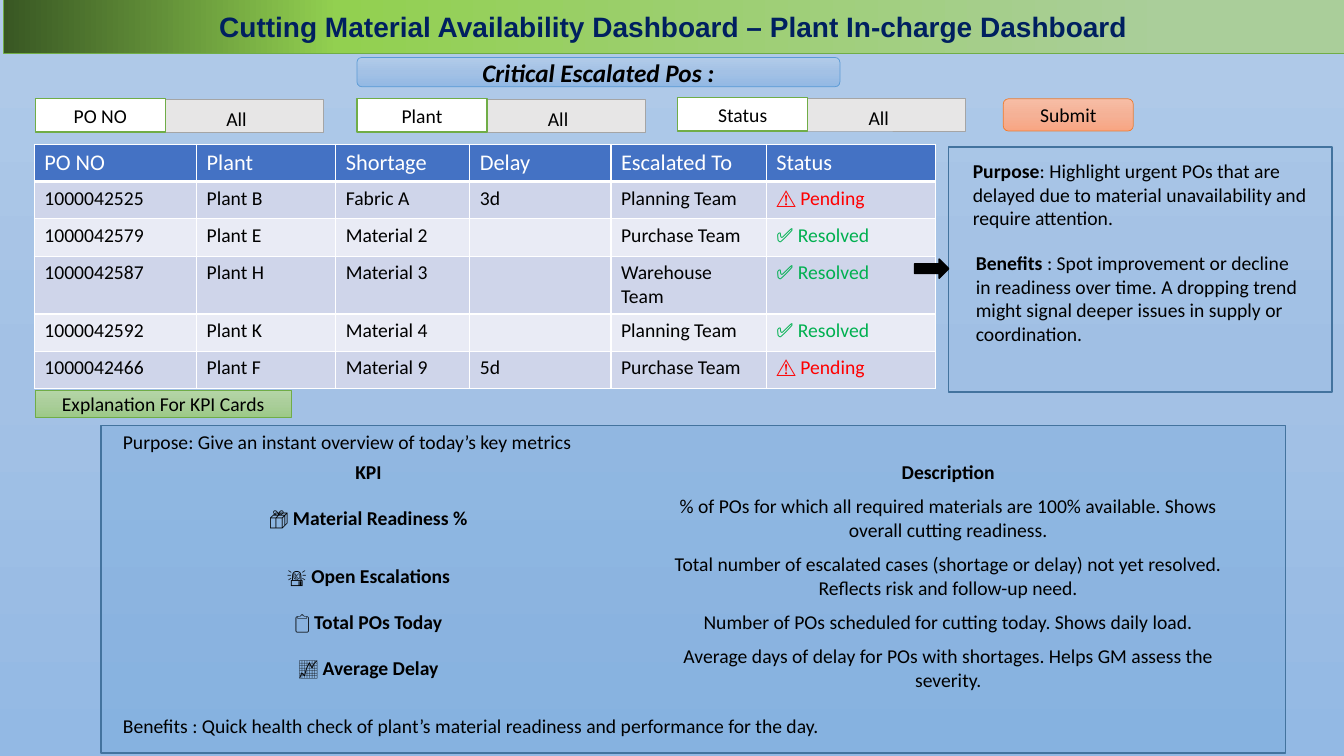
from dataclasses import dataclass
from typing import Any, Optional

from lxml.etree import SubElement
from pptx import Presentation
from pptx.dml.color import RGBColor
from pptx.enum.shapes import MSO_SHAPE
from pptx.enum.text import MSO_ANCHOR, MSO_AUTO_SIZE, PP_ALIGN
from pptx.oxml.ns import qn
from pptx.util import Inches, Pt

Run = tuple[str, bool]
Stops = list[tuple[int, str]]

BLUE_STOPS: Stops = [(0, "B1CBE9"), (50, "A3C1E5"), (100, "93B9E4")]
GREEN_STOPS: Stops = [(0, "B5D5A7"), (50, "AACE9A"), (100, "9CC987")]
ORANGE_STOPS: Stops = [(0, "F7BDA5"), (50, "F5B196"), (100, "F8A582")]
HEADER_STOPS: Stops = [(13, "AACE9A"), (75, "92D050"), (100, "385723")]
DOWN, LEFTWARD = 270, 180
NO_STYLE = "{2D5ABB26-0587-4C30-8999-92F81FD0307C}"


@dataclass
class Box:
    left: float
    top: float
    width: float
    height: float
    fill: str | Stops
    line: str
    line_width: float = 0.5
    text: str = ""
    size: float = 14
    emphasis: bool = False
    shape: MSO_SHAPE = MSO_SHAPE.RECTANGLE
    alpha: Optional[int] = None
    text_left: float = 0.1
    text_top: float = 0.05


@dataclass
class Note:
    left: float
    top: float
    width: float
    height: float
    runs: list[Run]


def rgb(value: str) -> RGBColor:
    return RGBColor.from_string(value)


def set_gradient(fill: Any, element: Any, stops: Stops, angle: int) -> None:
    fill.gradient()
    fill.gradient_angle = angle
    stop_list = next(element.iter(qn("a:gsLst")))
    for stop in list(stop_list):
        stop_list.remove(stop)
    for position, color in stops:
        stop = SubElement(stop_list, qn("a:gs"), pos=str(position * 1000))
        SubElement(stop, qn("a:srgbClr"), val=color)


def write(p: Any, runs: list[Run], size: float = 14, color: str = "000000",
          name: str = "Calibri", italic: bool = False) -> None:
    p.font.size = Pt(size)
    p.font.name = name
    p.font.color.rgb = rgb(color)
    p.font.italic = italic
    if len({bold for _, bold in runs}) == 1:
        p.font.bold = runs[0][1]
    for text, bold in runs:
        r = p.add_run()
        r.text = text
        if len(runs) > 1:
            r.font.bold = bold


def add_box(s: Any, box: Box) -> None:
    sp = s.shapes.add_shape(box.shape, Inches(box.left), Inches(box.top),
                            Inches(box.width), Inches(box.height))
    sp.shadow.inherit = False
    if isinstance(box.fill, str):
        sp.fill.solid()
        sp.fill.fore_color.rgb = rgb(box.fill)
    else:
        set_gradient(sp.fill, sp.element, box.fill, DOWN)
    if box.alpha is not None:
        color = next(sp.element.spPr.iter(qn("a:srgbClr")))
        SubElement(color, qn("a:alpha"), val=str(box.alpha * 1000))
    sp.line.color.rgb = rgb(box.line)
    sp.line.width = Pt(box.line_width)
    if box.text:
        tf = sp.text_frame
        tf.margin_left = Inches(box.text_left)
        tf.margin_top = Inches(box.text_top)
        tf.vertical_anchor = MSO_ANCHOR.MIDDLE
        p = tf.paragraphs[0]
        p.alignment = PP_ALIGN.CENTER
        write(p, [(box.text, box.emphasis)], box.size, italic=box.emphasis)


def add_note(s: Any, note: Note) -> None:
    tf = s.shapes.add_textbox(Inches(note.left), Inches(note.top),
                              Inches(note.width), Inches(note.height)).text_frame
    tf.word_wrap = True
    write(tf.paragraphs[0], note.runs)


def add_grid(s: Any, left: float, top: float, widths: list[float],
             heights: list[float]) -> Any:
    table = s.shapes.add_table(len(heights), len(widths), Inches(left), Inches(top),
                               Inches(sum(widths)), Inches(sum(heights))).table
    for column, width in zip(table.columns, widths):
        column.width = Inches(width)
    for row, height in zip(table.rows, heights):
        row.height = Inches(height)
    return table


def add_borders(cell: Any, bottom_width: float) -> None:
    tc_pr = cell._tc.get_or_add_tcPr()
    for side, width in (("L", 1), ("R", 1), ("T", 1), ("B", bottom_width)):
        ln = SubElement(tc_pr, qn(f"a:ln{side}"), w=str(Pt(width)))
        SubElement(SubElement(ln, qn("a:solidFill")), qn("a:srgbClr"), val="FFFFFF")


def add_orders(s: Any) -> None:
    pending, resolved = "⚠ Pending", "✅ Resolved"
    orders = [
        ["PO NO", "Plant", "Shortage", "Delay", "Escalated To", "Status"],
        ["1000042525", "Plant B", "Fabric A", "3d", "Planning Team", pending],
        ["1000042579", "Plant E", "Material 2", "", "Purchase Team", resolved],
        ["1000042587", "Plant H", "Material 3", "", "Warehouse Team", resolved],
        ["1000042592", "Plant K", "Material 4", "", "Planning Team", resolved],
        ["1000042466", "Plant F", "Material 9", "5d", "Purchase Team", pending],
    ]
    status_colors = {pending: "FF0000", resolved: "00B050"}
    table = add_grid(s, 0.34, 1.43, [1.61, 1.38, 1.33, 1.4, 1.54, 1.68],
                     [0.37, 0.37, 0.37, 0.57, 0.37, 0.37])
    for i, order in enumerate(orders):
        header = i == 0
        fill = "4472C4" if header else ("E9EBF5", "CFD5EA")[i % 2]
        for j, text in enumerate(order):
            cell = table.cell(i, j)
            add_borders(cell, 3 if header else 1)
            cell.fill.solid()
            cell.fill.fore_color.rgb = rgb(fill)
            p = cell.text_frame.paragraphs[0]
            if text:
                color = "FFFFFF" if header else status_colors.get(text, "000000")
                write(p, [(text, False)], 16 if header else 14, color)
            else:
                p._p.get_or_add_endParaRPr().set("sz", "1400")


def add_kpis(s: Any) -> None:
    kpis: list[tuple[list[Run], list[Run]]] = [
        ([("KPI", True)], [("Description", True)])]
    for icon, name, description in (
        ("📦 ", "Material Readiness %", "% of POs for which all required materials "
         "are 100% available. Shows overall cutting readiness."),
        ("🚨 ", "Open Escalations", "Total number of escalated cases (shortage or "
         "delay) not yet resolved. Reflects risk and follow-up need."),
        ("📋 ", "Total POs Today",
         "Number of POs scheduled for cutting today. Shows daily load."),
        ("📈 ", "Average Delay", "Average days of delay for POs with shortages. "
         "Helps GM assess the severity."),
    ):
        kpis.append(([(icon, False), (name, True)], [(description, False)]))
    table = add_grid(s, 0.78, 4.52, [5.75, 5.75], [0.34, 0.57, 0.57, 0.34, 0.57])
    table.first_row = table.horz_banding = False
    table._tbl.tblPr.find(qn("a:tableStyleId")).text = NO_STYLE
    for i, kpi in enumerate(kpis):
        for j, runs in enumerate(kpi):
            cell = table.cell(i, j)
            cell.fill.background()
            cell.vertical_anchor = MSO_ANCHOR.MIDDLE
            p = cell.text_frame.paragraphs[0]
            p.alignment = PP_ALIGN.CENTER
            write(p, runs)


def add_title(s: Any) -> None:
    sp = s.shapes.title
    sp.left, sp.top, sp.width, sp.height = map(Inches, (0.03, -0.01, 13.3, 0.54))
    set_gradient(sp.fill, sp.element, HEADER_STOPS, LEFTWARD)
    sp.line.color.rgb = rgb("70AD47")
    sp.line.width = Pt(0.5)
    tf = sp.text_frame
    tf.auto_size = MSO_AUTO_SIZE.NONE
    tf.vertical_anchor = MSO_ANCHOR.MIDDLE
    p = tf.paragraphs[0]
    p.alignment = PP_ALIGN.CENTER
    write(p, [("Cutting Material Availability Dashboard – Plant In-charge Dashboard",
               True)], 20, "002060", "Arial")


def main() -> None:
    prs = Presentation()
    prs.slide_width, prs.slide_height = Inches(13.33), Inches(7.5)
    s = prs.slides.add_slide(prs.slide_layouts[5])
    set_gradient(s.background.fill, s.element, BLUE_STOPS, DOWN)
    add_title(s)
    rounded = MSO_SHAPE.ROUNDED_RECTANGLE
    boxes = [
        Box(1, 4.22, 11.75, 3.25, "5B9BD5", "43739E", 1, alpha=22),
        Box(0.35, 3.87, 2.54, 0.27, GREEN_STOPS, "70AD47",
            text="Explanation For KPI Cards"),
        Box(3.54, 0.57, 4.79, 0.29, BLUE_STOPS, "5B9BD5", size=18, emphasis=True,
            text="Critical Escalated Pos :", shape=rounded),
        Box(9.95, 0.98, 1.29, 0.32, ORANGE_STOPS, "ED7D31", text="Submit",
            shape=rounded),
        Box(9.41, 1.46, 3.8, 2.43, "5B9BD5", "43739E", 1, alpha=3),
    ]
    for left, top, label in ((0.35, 0.98, "PO NO"), (3.54, 0.98, "Plant"),
                             (6.72, 0.97, "Status")):
        boxes += [
            Box(left, top + 0.01, 2.86, 0.32, "E7E6E6", "A5A5A5", text="All",
                text_left=1.23, text_top=0.11),
            Box(left, top, 1.29, 0.33, "FFFFFF", "70AD47", 1, label),
        ]
    for box in boxes:
        add_box(s, box)
    add_orders(s)
    add_kpis(s)
    add_box(s, Box(9.07, 2.57, 0.34, 0.19, "000000", "000000", 1,
                   shape=MSO_SHAPE.RIGHT_ARROW))
    for note in (
        Note(1.12, 4.22, 9.32, 0.34,
             [("Purpose: Give an instant overview of today’s key metrics", False)]),
        Note(1.12, 7.03, 9.32, 0.34, [("Benefits : Quick health check of plant’s "
             "material readiness and performance for the day.", False)]),
        Note(9.55, 1.53, 3.53, 0.81, [("Purpose", True), (": Highlight urgent POs that "
             "are delayed due to material unavailability and require attention.", False)]),
        Note(9.58, 2.44, 3.49, 1.04, [("Benefits ", True), (": Spot improvement or "
             "decline in readiness over time. A dropping trend might signal deeper "
             "issues in supply or coordination.", False)]),
    ):
        add_note(s, note)
    prs.save("out.pptx")


if __name__ == "__main__":
    main()
